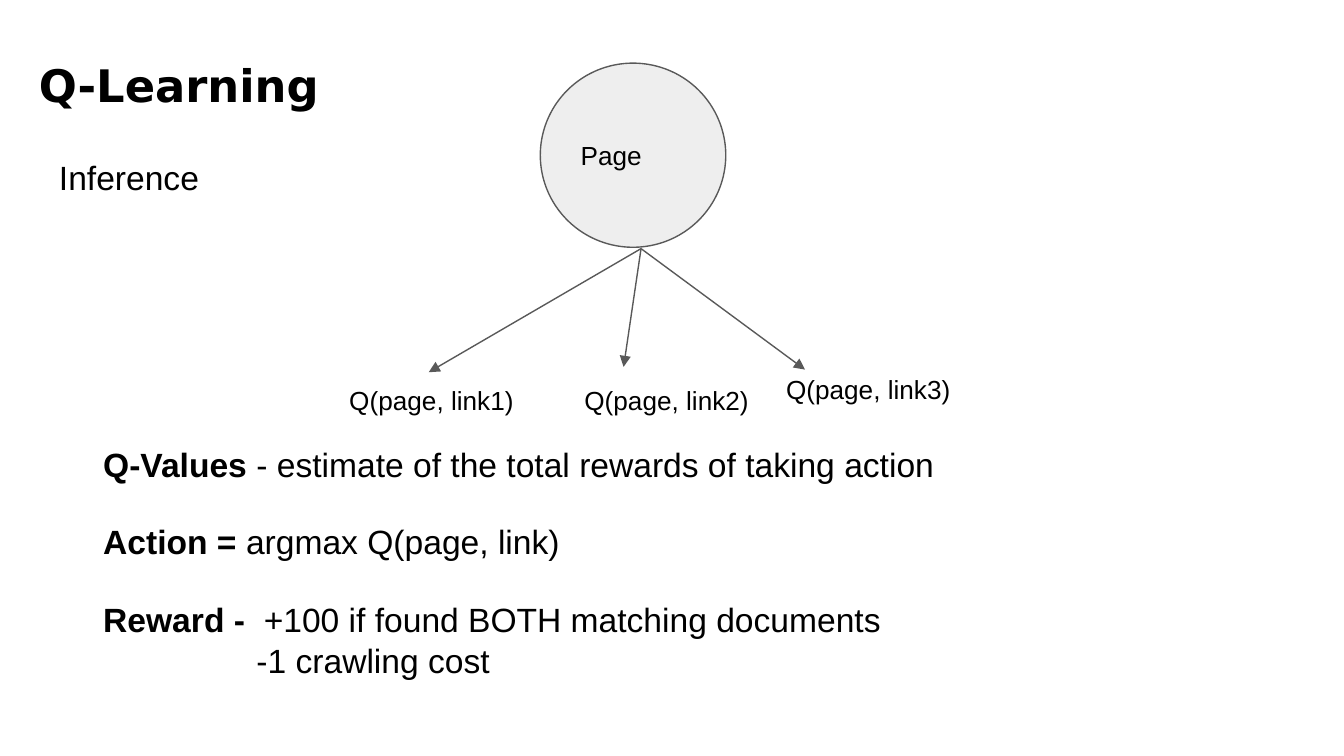
from dataclasses import dataclass

from lxml import etree
from pptx import Presentation
from pptx import util as u
from pptx.dml.color import RGBColor
from pptx.enum import shapes, text
from pptx.oxml import ns

BLACK = RGBColor(0x00, 0x00, 0x00)
GREY = RGBColor(0x59, 0x59, 0x59)
PALE = RGBColor(0xEE, 0xEE, 0xEE)
SLIDE_WIDTH = 10
SLIDE_HEIGHT = SLIDE_WIDTH * 9 / 16
INSET = u.Inches(0.1)
FRAME_FORMAT = {
    "word_wrap": True,
    "margin_left": INSET,
    "margin_right": INSET,
    "margin_top": INSET,
    "margin_bottom": INSET,
}


@dataclass(frozen=True)
class Line:
    plain: str
    bold: str = ""
    indent: float = 0


@dataclass(frozen=True)
class Label:
    box: tuple[float, float, float, float]
    lines: tuple[Line, ...]
    size: int = 18
    font: str = "Arial"


@dataclass(frozen=True)
class Arrow:
    start: tuple[float, float]
    end: tuple[float, float]


def write_lines(shape, label: Label, anchor=text.MSO_ANCHOR.TOP) -> None:
    frame = shape.text_frame
    for name, value in {**FRAME_FORMAT, "vertical_anchor": anchor}.items():
        setattr(frame, name, value)
    for index, line in enumerate(label.lines):
        paragraph = frame.add_paragraph() if index else frame.paragraphs[0]
        paragraph.alignment = text.PP_ALIGN.LEFT
        if line.indent:
            properties = paragraph._p.get_or_add_pPr()
            properties.set("marL", str(u.Inches(line.indent)))
            properties.set("indent", "0")
        for words, bold in ((line.bold, True), (line.plain, False)):
            if words:
                run = paragraph.add_run()
                run.text = words
                run.font.color.rgb = BLACK
                values = {"name": label.font, "size": u.Pt(label.size), "bold": bold}
                for name, value in values.items():
                    setattr(run.font, name, value)


def add_label(slide, label: Label) -> None:
    shape = slide.shapes.add_textbox(*map(u.Inches, label.box))
    write_lines(shape, label)


def outline(shape) -> None:
    shape.line.color.rgb = GREY
    shape.line.width = u.Pt(0.75)


def add_node(slide, label: Label) -> None:
    shape = slide.shapes.add_shape(shapes.MSO_SHAPE.OVAL, *map(u.Inches, label.box))
    shape.shadow.inherit = False
    shape.fill.solid()
    shape.fill.fore_color.rgb = PALE
    outline(shape)
    write_lines(shape, label, text.MSO_ANCHOR.MIDDLE)


def add_arrow(slide, arrow: Arrow) -> None:
    connector = slide.shapes.add_connector(
        shapes.MSO_CONNECTOR.STRAIGHT, *map(u.Inches, arrow.start + arrow.end)
    )
    outline(connector)
    etree.SubElement(connector.line._get_or_add_ln(), ns.qn("a:tailEnd"), type="triangle")
    etree.SubElement(connector._element.spPr, ns.qn("a:effectLst"))


PAGE = Label((4.02, 0.47, 1.38, 1.37), (Line("Page"),), 14)
FORK = (4.77, 1.85)
ARROWS = [Arrow(FORK, end) for end in ((3.19, 2.77), (4.64, 2.73), (5.99, 2.75))]
LINK_BOXES = ((2.5, 2.76, 1.59, 0.63), (4.25, 2.76, 1.74, 0.63), (5.75, 2.68, 1.88, 0.63))
LINKS = [
    Label(box, (Line(f"Q(page, link{number})"),), 14)
    for number, box in enumerate(LINK_BOXES, 1)
]
DEFINITIONS = [
    Label((0.67, 3.2 + 0.58 * row, 6.77, 0.47), lines)
    for row, lines in enumerate((
        (Line(" - estimate of the total rewards of taking action", "Q-Values"),),
        (Line("argmax Q(page, link)", "Action = "),),
        (
            Line(" +100 if found BOTH matching documents", "Reward - "),
            Line("-1 crawling cost", indent=1.14),
        ),
    ))
]
HEADING = Label((0.19, 0.33, 6.92, 0.63), (Line("", "Q-Learning"),), 24, "DejaVu Sans")
SUBTITLE = Label((0.34, 1.07, 3.21, 0.63), (Line("Inference"),))


def main() -> None:
    presentation = Presentation()
    presentation.slide_width = u.Inches(SLIDE_WIDTH)
    presentation.slide_height = u.Inches(SLIDE_HEIGHT)
    slide = presentation.slides.add_slide(presentation.slide_layouts[6])
    add_label(slide, HEADING)
    add_node(slide, PAGE)
    for arrow in ARROWS:
        add_arrow(slide, arrow)
    for label in (*LINKS, *DEFINITIONS, SUBTITLE):
        add_label(slide, label)
    presentation.save("out.pptx")


if __name__ == "__main__":
    main()
